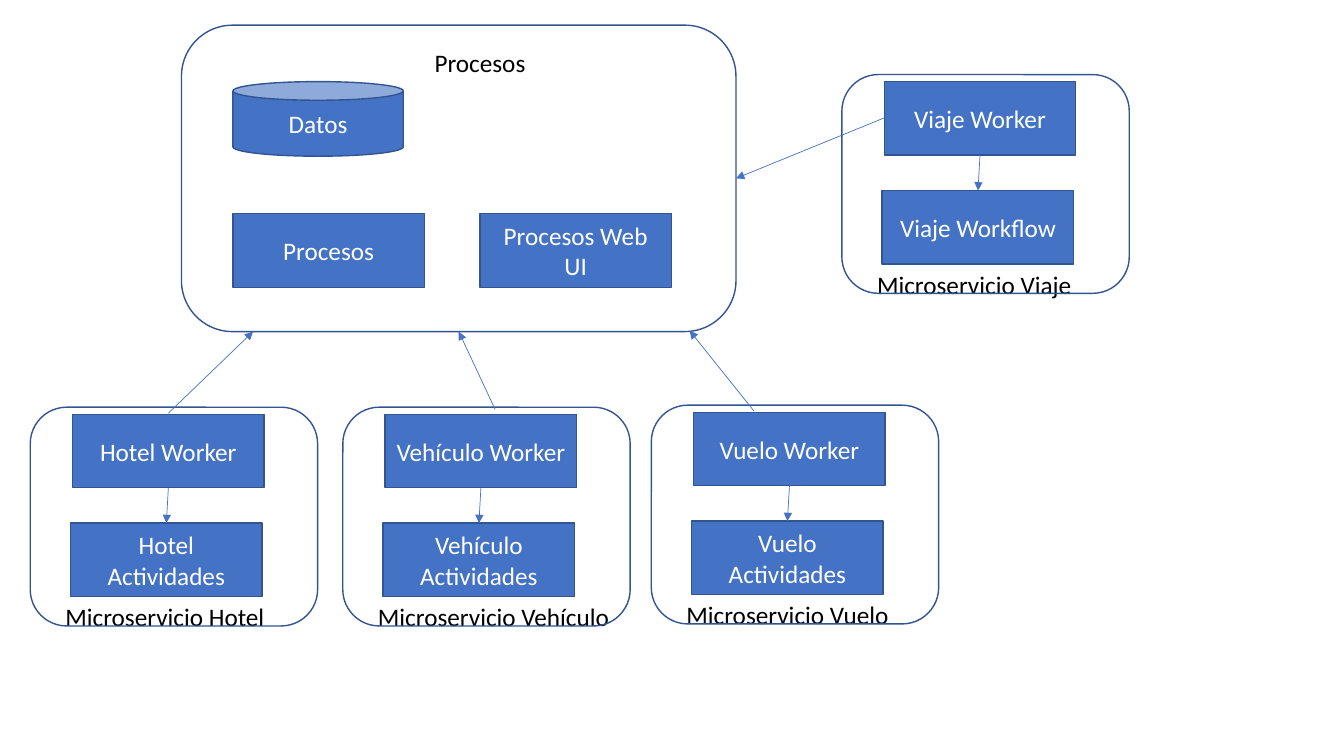
import pptx
import pptx.util
import pptx.dml.color
import pptx.enum.shapes
import pptx.enum.text
import pptx.oxml

Inches = pptx.util.Inches
SHAPES = pptx.enum.shapes.MSO_SHAPE
ALIGN = pptx.enum.text.PP_ALIGN
ANCHOR = pptx.enum.text.MSO_ANCHOR
BLUE, OUTLINE, WHITE, BLACK = "4472C4", "325491", "FFFFFF", "000000"
BOX_WIDTH, BOX_HEIGHT = 1.9, 0.73


def color(hex_value):
    return pptx.dml.color.RGBColor.from_string(hex_value)


def format_text(shape, text, hex_value, frame_format, alignment):
    frame = shape.text_frame
    frame.text = text
    for name, value in frame_format.items():
        setattr(frame, name, value)
    paragraph = frame.paragraphs[0]
    paragraph.alignment = alignment
    font_format = {"name": "Calibri", "size": pptx.util.Pt(18), "bold": False}
    for name, value in font_format.items():
        setattr(paragraph.font, name, value)
    paragraph.font.color.rgb = color(hex_value)


presentation = pptx.Presentation()
presentation.slide_width = Inches(13.33)
presentation.slide_height = Inches(7.5)
slide = presentation.slides.add_slide(presentation.slide_layouts[5])

box_format = {"word_wrap": True, "vertical_anchor": ANCHOR.MIDDLE}
label_format = {"word_wrap": False, "vertical_anchor": ANCHOR.TOP,
                "auto_size": pptx.enum.text.MSO_AUTO_SIZE.NONE}

# Server title
title = slide.shapes.title
title_place = {"left": 4.21, "top": 0.42, "width": 1.16, "height": 0.4}
for name, value in title_place.items():
    setattr(title, name, Inches(value))
format_text(title, "Procesos", BLACK, label_format, ALIGN.LEFT)

# Server parts: preset, text, left, top, width, height
parts = [
    (SHAPES.ROUNDED_RECTANGLE, "", 1.8, 0.25, 5.5, 3.04),
    (SHAPES.CAN, "Datos", 2.31, 0.81, 1.69, 0.74),
    (SHAPES.RECTANGLE, "Procesos", 2.31, 2.12, BOX_WIDTH, BOX_HEIGHT),
    (SHAPES.RECTANGLE, "Procesos Web UI", 4.76, 2.12, BOX_WIDTH, BOX_HEIGHT),
]

# Arrows into the server: start x, start y, end x, end y
arrows = [
    (1.67, 4.1, 2.51, 3.29),
    (4.91, 4.06, 4.55, 3.29),
    (7.48, 4.08, 6.84, 3.28),
    (8.77, 1.17, 7.3, 1.77),
]

# Microservices: name, task, left, top, label width
microservices = [
    ("Hotel", "Actividades", 0.3, 4.04, 2.2),
    ("Vehículo", "Actividades", 3.4, 4.04, 2.52),
    ("Vuelo", "Actividades", 6.46, 4.02, 2.23),
    ("Viaje", "Workflow", 8.35, 0.74, 2.15),
]
for service, task, left, top, label_width in microservices:
    worker_left, worker_top = left + 0.42, top + 0.07
    task_left, task_top = left + 0.4, top + 1.15
    parts += [
        (SHAPES.ROUNDED_RECTANGLE, "", left, top, 2.85, 2.17),
        (SHAPES.RECTANGLE, f"{service} Worker",
         worker_left, worker_top, BOX_WIDTH, BOX_HEIGHT),
        (SHAPES.RECTANGLE, f"{service} {task}",
         task_left, task_top, BOX_WIDTH, BOX_HEIGHT),
    ]
    arrows.append((worker_left + BOX_WIDTH / 2, worker_top + BOX_HEIGHT,
                   task_left + BOX_WIDTH / 2, task_top))
    label = slide.shapes.add_textbox(
        Inches(left + 0.25), Inches(top + 1.88), Inches(label_width), Inches(0.4))
    format_text(label, f"Microservicio {service}", BLACK, label_format, ALIGN.LEFT)

# Frames and boxes
for preset, text, *place in parts:
    shape = slide.shapes.add_shape(preset, *map(Inches, place))
    shape.shadow.inherit = False
    shape.line.color.rgb = color(OUTLINE)
    shape.line.width = pptx.util.Pt(1)
    if text:
        shape.fill.solid()
        shape.fill.fore_color.rgb = color(BLUE)
        format_text(shape, text, WHITE, box_format, ALIGN.CENTER)
    else:
        shape.fill.background()

# Arrows
for ends in arrows:
    arrow = slide.shapes.add_connector(
        pptx.enum.shapes.MSO_CONNECTOR.STRAIGHT, *map(Inches, ends))
    arrow.line.color.rgb = color(BLUE)
    arrow.line.width = pptx.util.Pt(0.5)
    namespace = pptx.oxml.ns.nsdecls("a")
    arrow.line._get_or_add_ln().append(
        pptx.oxml.parse_xml(f'<a:tailEnd {namespace} type="triangle"/>'))
    arrow._element.spPr.append(pptx.oxml.parse_xml(f"<a:effectLst {namespace}/>"))

presentation.save("out.pptx")
